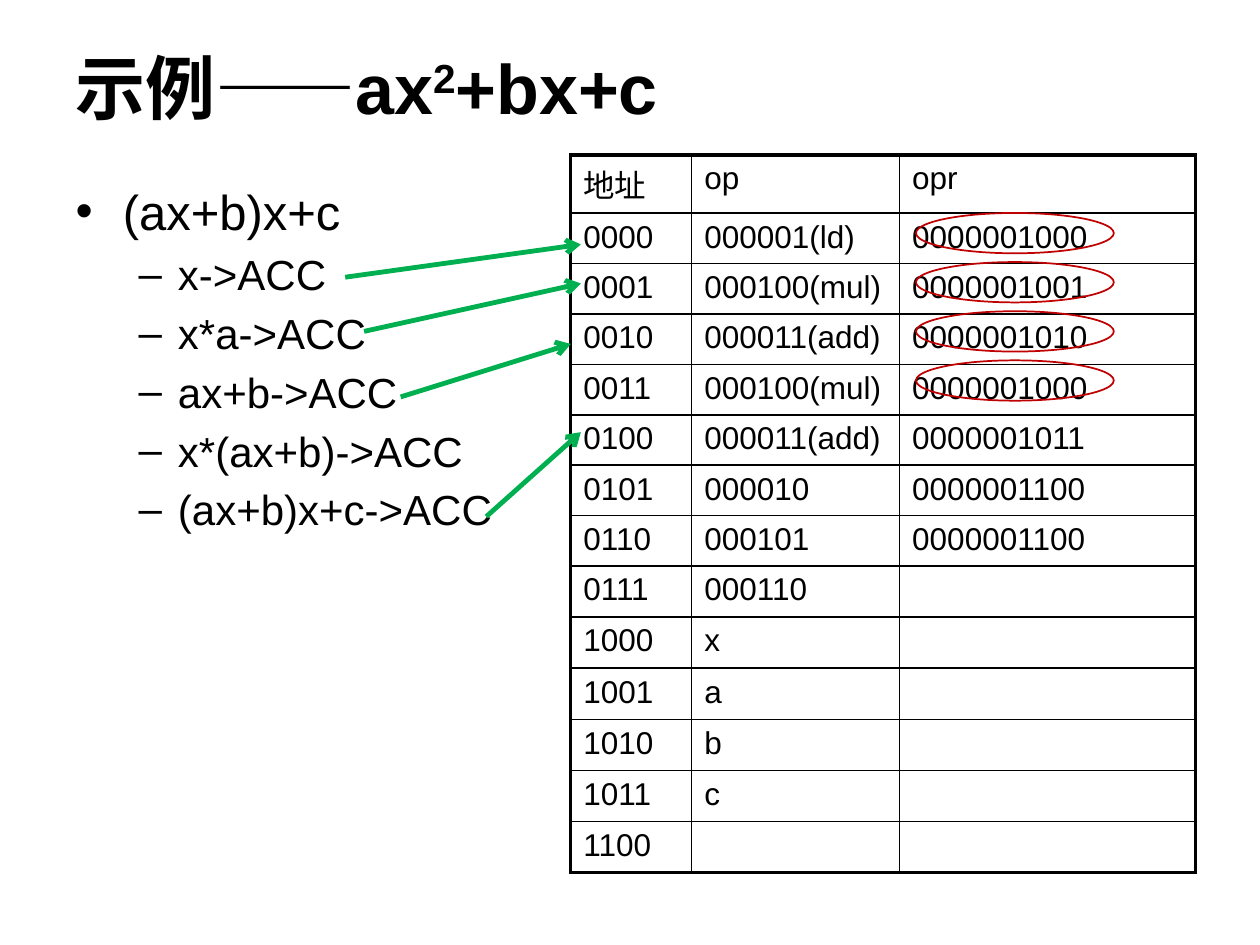
from lxml import etree
from pptx import Presentation
from pptx.dml.color import RGBColor
from pptx.enum.shapes import MSO_CONNECTOR, MSO_SHAPE
from pptx.enum.text import MSO_ANCHOR, MSO_AUTO_SIZE, PP_ALIGN
from pptx.oxml.ns import qn
from pptx.util import Inches, Pt

STRAIGHT = MSO_CONNECTOR.STRAIGHT
OVAL = MSO_SHAPE.OVAL
LEFT = PP_ALIGN.LEFT
MIDDLE = MSO_ANCHOR.MIDDLE
NO_FIT = MSO_AUTO_SIZE.NONE

FONT = "Arial"
COLORS = {"text": "000000", "arrow": "00B050", "ring": "C00000"}

# Table grid, in inches
TABLE_LEFT, TABLE_TOP, ROW_H = 4.53, 1.23, 0.4
COLS = [0.96, 1.65, 2.35]
THIN, THICK = 1, 2.25

STEPS = ["x->ACC", "x*a->ACC", "ax+b->ACC", "x*(ax+b)->ACC", "(ax+b)x+c->ACC"]
HEADER = ("地址", "op", "opr")
MEMORY = [
    ("000001(ld)", "0000001000"),
    ("000100(mul)", "0000001001"),
    ("000011(add)", "0000001010"),
    ("000100(mul)", "0000001000"),
    ("000011(add)", "0000001011"),
    ("000010", "0000001100"),
    ("000101", "0000001100"),
    ("000110", ""),
    ("x", ""), ("a", ""), ("b", ""), ("c", ""), ("", ""),
]
ARROWS = [
    ((2.74, 2.2), (4.61, 1.94)),
    ((2.89, 2.63), (4.61, 2.25)),
    ((3.18, 3.15), (4.53, 2.73)),
    ((3.86, 4.1), (4.61, 3.43)),
]


def rgb(name):
    return RGBColor.from_string(COLORS[name])


def add_text(p, text, size=18, bold=False, color="text", baseline=0):
    r = p.add_run()
    r.text = text
    r.font.name = FONT
    r.font.size = Pt(size)
    r.font.bold = bold
    r.font.color.rgb = rgb(color)
    if baseline:
        r.font._element.set("baseline", str(baseline * 1000))


def place(sp, left, top, width, height):
    sp.left, sp.top = Inches(left), Inches(top)
    sp.width, sp.height = Inches(width), Inches(height)


def fill_title(sp):
    place(sp, 0.5, 0.3, 9, 0.77)
    tf = sp.text_frame
    tf.auto_size = NO_FIT
    tf.vertical_anchor = MIDDLE
    p = tf.paragraphs[0]
    p.alignment = LEFT
    for text, baseline in (("示例——ax", 0), ("2", 30), ("+bx+c", 0)):
        add_text(p, text, size=40, bold=True, baseline=baseline)


def fill_steps(sp):
    place(sp, 0.5, 1.39, 4.42, 3.39)
    tf = sp.text_frame
    tf.auto_size = NO_FIT
    add_text(tf.paragraphs[0], "(ax+b)x+c", size=28)
    for step in STEPS:
        p = tf.add_paragraph()
        p.level = 1
        add_text(p, step, size=24)


def set_borders(cell, widths):
    tcPr = cell._tc.get_or_add_tcPr()
    for i, (side, width) in enumerate(widths.items()):
        ln = etree.Element(qn("a:ln" + side), w=str(Pt(width)))
        fill = etree.SubElement(ln, qn("a:solidFill"))
        etree.SubElement(fill, qn("a:srgbClr"), val=COLORS["text"])
        tcPr.insert(i, ln)  # borders come before the fill


def space_before(p, percent):
    spc = etree.SubElement(p._p.get_or_add_pPr(), qn("a:spcBef"))
    etree.SubElement(spc, qn("a:spcPct"), val=str(percent * 1000))


def add_memory_table(slide):
    rows = [HEADER] + [(f"{i:04b}", *row) for i, row in enumerate(MEMORY)]
    last_row, last_col = len(rows) - 1, len(COLS) - 1
    table = slide.shapes.add_table(
        len(rows), len(COLS), Inches(TABLE_LEFT), Inches(TABLE_TOP),
        Inches(sum(COLS)), Inches(ROW_H * len(rows))).table
    table.first_row = table.horz_banding = False
    for column, width in zip(table.columns, COLS):
        column.width = Inches(width)
    for i, row in enumerate(rows):
        table.rows[i].height = Inches(ROW_H)
        for j, text in enumerate(row):
            cell = table.cell(i, j)
            cell.fill.background()
            outer = {"L": j == 0, "R": j == last_col,
                     "T": i == 0, "B": i == last_row}
            set_borders(cell, {side: THICK if edge else THIN
                               for side, edge in outer.items()})
            if text:
                p = cell.text_frame.paragraphs[0]
                space_before(p, 20)
                add_text(p, text)


def add_arrow(slide, start, end):
    line = slide.shapes.add_connector(
        STRAIGHT, *(Inches(v) for v in (*start, *end)))
    line.line.color.rgb = rgb("arrow")
    line.line.width = Pt(2.75)
    etree.SubElement(line.line._get_or_add_ln(), qn("a:tailEnd"), type="arrow")
    etree.SubElement(line._element.spPr, qn("a:effectLst"))


def add_ring(slide, left, top):
    sp = slide.shapes.add_shape(
        OVAL, *(Inches(v) for v in (left, top, 1.57, 0.32)))
    sp.shadow.inherit = False
    sp.fill.background()
    sp.line.color.rgb = rgb("ring")
    sp.line.width = Pt(1)


def main():
    prs = Presentation()
    prs.slide_width, prs.slide_height = Inches(10), Inches(7.5)
    slide = prs.slides.add_slide(prs.slide_layouts[1])

    # Title and calculation steps
    fill_title(slide.shapes.title)
    fill_steps(slide.placeholders[1])

    # Memory contents
    add_memory_table(slide)

    # Arrows from steps to instructions
    for start, end in ARROWS:
        add_arrow(slide, start, end)

    # Rings around the first four operands
    for i in range(4):
        add_ring(slide, 7.27, 1.69 + 0.39 * i)

    prs.save("out.pptx")


if __name__ == "__main__":
    main()
